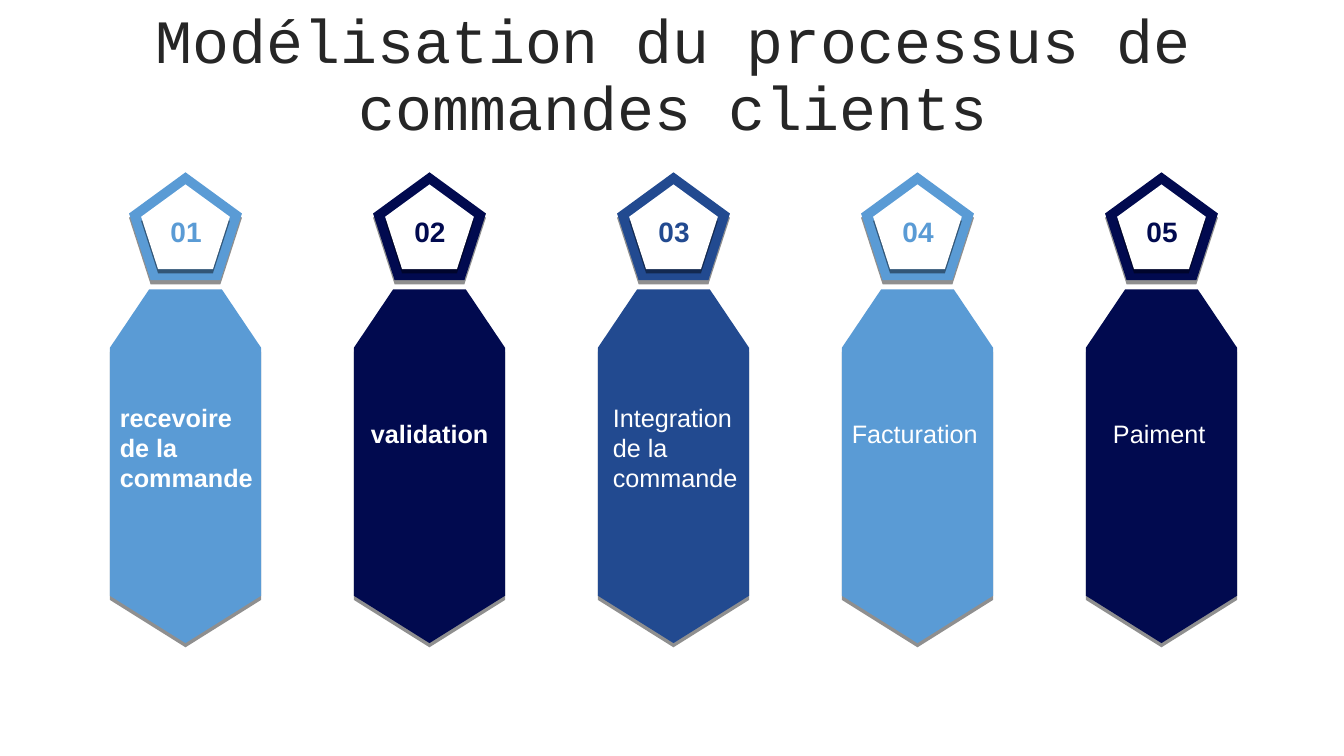
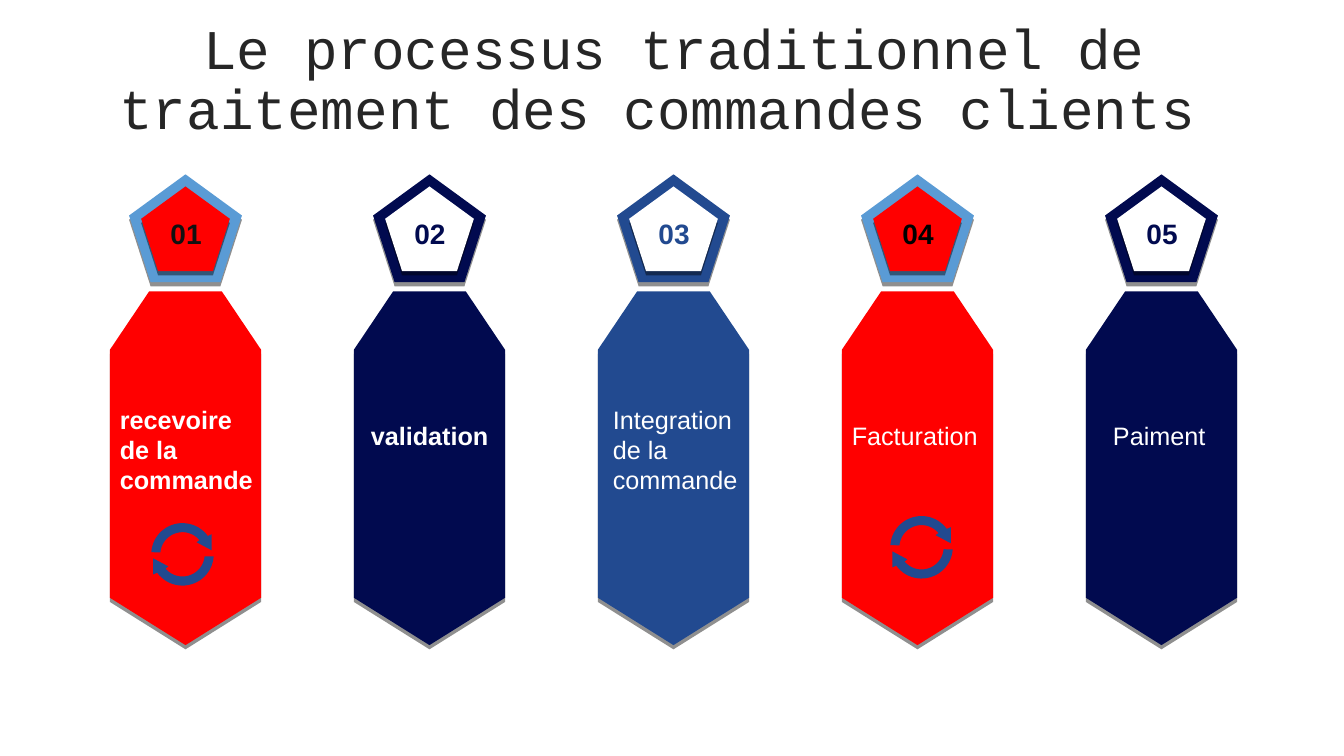
import math

import pptx
import pptx.dml.color
import pptx.enum.shapes
import pptx.enum.text
import pptx.oxml
import pptx.oxml.ns
import pptx.util

Inches = pptx.util.Inches
Pt = pptx.util.Pt
ALIGN = pptx.enum.text.PP_ALIGN
ANCHOR = pptx.enum.text.MSO_ANCHOR

SKY, NAVY, BLUE = "5A9BD5", "010A4F", "224A90"
RED, WHITE, TITLE_GREY = "FF0000", "FFFFFF", "262626"

COLUMN_LEFT, COLUMN_PITCH = 1.09, 2.42
COLUMN_COLORS = [SKY, NAVY, BLUE, SKY, NAVY]
LABELS = [
    (["recevoire de la commande"], True, 0, 2.23, 1.66),
    (["validation"], True, 0.07, 2.39, 1.5),
    (["Integration", "de la", "commande"], False, 0.05, 2.23, 2.2),
    (["Facturation"], False, 0, 2.39, 1.5),
    (["Paiment"], False, 0.17, 2.39, 1.65),
]
BANNER_OUTLINE = [(0.39, 0), (1.11, 0), (1.5, 0.58), (1.5, 3.04), (0.75, 3.51), (0, 3.04), (0, 0.58)]
SHADOW = (
    '<a:outerShdw xmlns:a="http://schemas.openxmlformats.org/drawingml/2006/main" '
    'blurRad="0" dist="38100" dir="5400000" algn="t" rotWithShape="0">'
    '<a:srgbClr val="000000"><a:alpha val="43000"/></a:srgbClr></a:outerShdw>'
)


def rgb(value):
    return pptx.dml.color.RGBColor.from_string(value)


def arc(radius, start, end, steps=24):
    angles = [math.radians(start + (end - start) * step / steps) for step in range(steps + 1)]
    return [(radius * math.cos(angle), radius * math.sin(angle)) for angle in angles]


class Deck:
    title_font = "Courier New"
    body_font = "Arial"

    def __init__(self):
        self.presentation = pptx.Presentation()
        self.presentation.slide_width = Inches(13.33)
        self.presentation.slide_height = Inches(7.5)
        self.slide = None

    def new_slide(self, title, top, size):
        self.slide = self.presentation.slides.add_slide(self.presentation.slide_layouts[6])
        self.text([title], 0.35, top, 12.66, 0.79, size=size, color=TITLE_GREY, font=self.title_font,
                  align=ALIGN.CENTER, anchor=ANCHOR.MIDDLE, line_spacing=0.9)

    def text(self, lines, left, top, width, height, size=18, color=WHITE, font=body_font,
             bold=False, align=ALIGN.LEFT, anchor=ANCHOR.TOP, line_spacing=None):
        shape = self.slide.shapes.add_textbox(Inches(left), Inches(top), Inches(width), Inches(height))
        frame = shape.text_frame
        frame.word_wrap = True
        frame.vertical_anchor = anchor
        for index, line in enumerate(lines):
            paragraph = frame.add_paragraph() if index else frame.paragraphs[0]
            paragraph.alignment = align
            paragraph.line_spacing = line_spacing
            run = paragraph.add_run()
            run.text = line
            run.font.name = font
            run.font.size = Pt(size)
            run.font.bold = bold
            run.font.color.rgb = rgb(color)

    def paint(self, shape, color, shadow=True):
        shape.fill.solid()
        shape.fill.fore_color.rgb = rgb(color)
        shape.line.fill.background()
        shape.shadow.inherit = False
        if shadow:
            effects = shape._element.spPr.find(pptx.oxml.ns.qn("a:effectLst"))
            effects.append(pptx.oxml.parse_xml(SHADOW))

    def pentagon(self, left, top, width, height, color):
        shape = self.slide.shapes.add_shape(
            pptx.enum.shapes.MSO_SHAPE.REGULAR_PENTAGON,
            Inches(left), Inches(top), Inches(width), Inches(height))
        self.paint(shape, color)

    def outline(self, contours, left, top, color, shadow=True):
        placed = [[(Inches(left + x), Inches(top + y)) for x, y in contour] for contour in contours]
        builder = self.slide.shapes.build_freeform(*placed[0][0], scale=1.0)
        for index, contour in enumerate(placed):
            if index:
                builder.move_to(*contour[0])
            builder.add_line_segments(contour[1:], close=True)
        self.paint(builder.convert_to_shape(), color, shadow)

    def cycle_icon(self, center_x, center_y):
        arrow_head = [(0.29, -0.2), (0.29, -0.04), (0.14, -0.12)]
        upper = arc(0.31, 184, 324) + arrow_head + arc(0.22, 320, 185)
        lower = [(-x, -y) for x, y in upper]
        self.outline([upper, lower], center_x, center_y, BLUE, shadow=False)

    def step(self, index, top, alert_number=None):
        left = COLUMN_LEFT + index * COLUMN_PITCH
        color = COLUMN_COLORS[index]
        self.pentagon(left + 0.19, top, 1.12, 1.07, color)
        self.outline([BANNER_OUTLINE], left, top + 1.16, RED if alert_number else color)
        self.pentagon(left + 0.31, top + 0.12, 0.88, 0.84, RED if alert_number else WHITE)
        self.text([f"{index + 1:02d}"], left + 0.45, top + 0.37, 0.61, 0.43, size=20,
                  color=alert_number or color, bold=True, align=ALIGN.CENTER)
        lines, bold, shift, drop, width = LABELS[index]
        self.text(lines, left + shift, top + drop, width, 0.94, bold=bold)

    def process(self, top, alert_numbers):
        for index in range(len(LABELS)):
            self.step(index, top, alert_numbers.get(index))


def main():
    deck = Deck()
    deck.new_slide("Modélisation du processus de commandes clients", 0.37, 44)
    deck.process(1.71, {})

    deck.new_slide("Le processus traditionnel de traitement des commandes clients ", 0.41, 40)
    deck.process(1.73, {0: "111111", 3: "000000"})
    for center_x, center_y in [(9.14, 5.43), (1.81, 5.5)]:
        deck.cycle_icon(center_x, center_y)

    deck.presentation.save("out.pptx")


if __name__ == "__main__":
    main()
